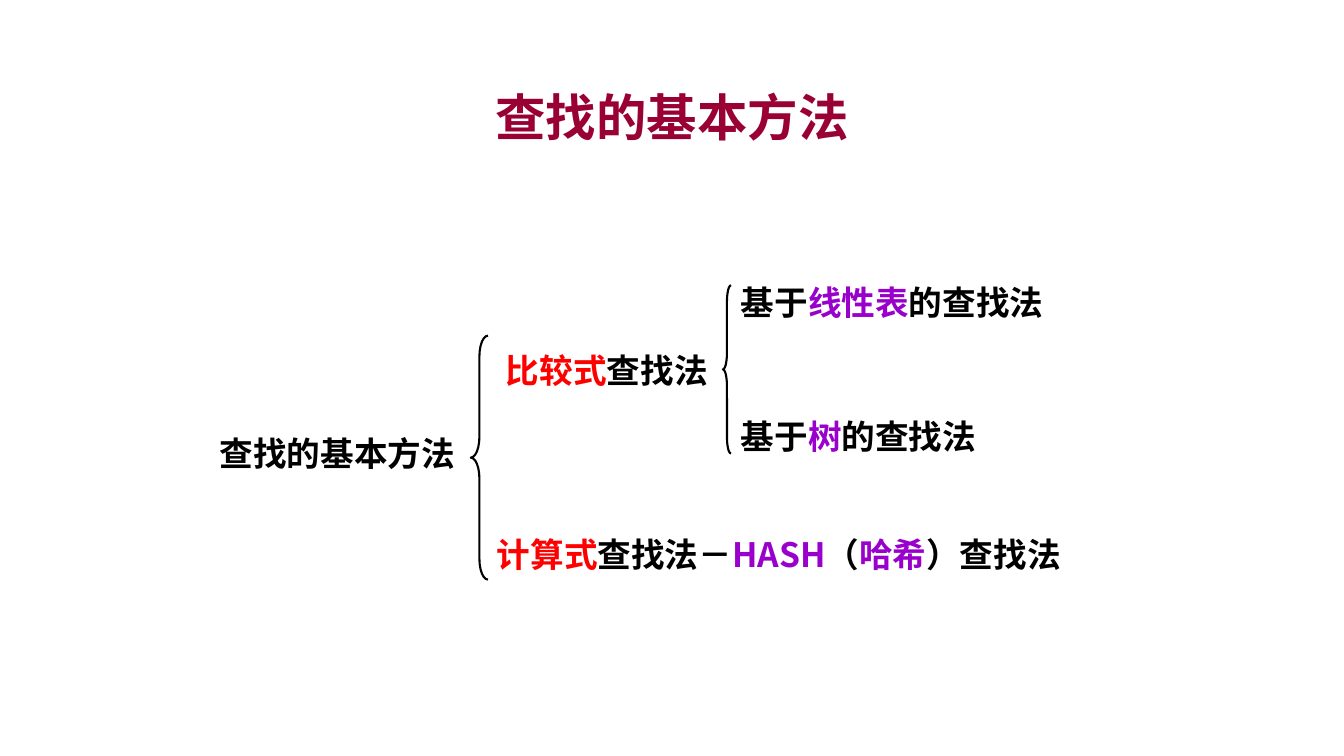
from lxml.etree import SubElement
from pptx import Presentation
from pptx.dml.color import RGBColor as RGB
from pptx.enum.shapes import MSO_SHAPE as Shape
from pptx.enum.text import MSO_ANCHOR as Anchor, MSO_AUTO_SIZE as Fit, PP_ALIGN as Align
from pptx.oxml.ns import qn
from pptx.util import Inches, Pt

THEME = {
    "font": "Noto Sans CJK SC",
    "title": Pt(36), "body": Pt(24), "line": Pt(1.5),
    "wine": RGB(0x99, 0x00, 0x33), "black": RGB(0, 0, 0),
    "red": RGB(0xFF, 0, 0), "purple": RGB(0x99, 0x00, 0xCC),
}


def place(shape, *box):
    sides = ("left", "top", "width", "height")
    for side, value in zip(sides, box):
        setattr(shape, side, Inches(value))


def write(shape, runs, size, format):
    """Fill the shape's text frame with (text, colour name) runs."""
    frame = shape.text_frame
    for key, value in format.items():
        setattr(frame, key, value)
    para = frame.paragraphs[0]
    for text, color in runs:
        run = para.add_run()
        run.text = text
        font = run.font
        font.color.rgb = THEME[color]
        for key, value in {"name": THEME["font"], "size": THEME[size], "bold": True}.items():
            setattr(font, key, value)
        SubElement(font._element, qn("a:ea"), typeface=THEME["font"])
    return para


deck = Presentation()
deck.slide_width, deck.slide_height = Inches(13.33), Inches(7.5)
slide = deck.slides.add_slide(deck.slide_layouts[5])
shapes = slide.shapes

topic = "查找的基本方法"
title = shapes.title
place(title, 1, 0.75, 11.33, 0.75)
para = write(title, [(topic, "wine")], "title", {
    "word_wrap": True, "auto_size": Fit.NONE, "vertical_anchor": Anchor.BOTTOM})
para.alignment = Align.CENTER

labels = [
    ((2.08, 4.24, 2.75, 0.51), [(topic, "black")]),
    ((4.92, 3.42, 2.42, 0.5), [("比较式", "red"), ("查找法", "black")]),
    ((4.83, 5.25, 6, 0.5), [
        ("计算式", "red"), ("查找法－", "black"), ("HASH", "purple"),
        ("（", "black"), ("哈希", "purple"), ("）查找法", "black")]),
    ((7.25, 2.75, 3.5, 0.5), [
        ("基于", "black"), ("线性表", "purple"), ("的查找法", "black")]),
    ((7.25, 4.08, 3.08, 0.5), [
        ("基于", "black"), ("树", "purple"), ("的查找法", "black")]),
]
for box, runs in labels:
    label = shapes.add_textbox(*map(Inches, box))
    write(label, runs, "body", {
        "word_wrap": True, "auto_size": Fit.SHAPE_TO_FIT_TEXT,
        "vertical_anchor": Anchor.MIDDLE})

braces = [((4.67, 3.33, 0.17, 2.42), 1.21), ((7.17, 2.83, 0.08, 1.67), 2)]
for box, curve in braces:
    brace = shapes.add_shape(Shape.LEFT_BRACE, *map(Inches, box))
    brace.adjustments[0] = curve
    brace.adjustments[1] = 0.5
    brace.shadow.inherit = False
    brace.fill.background()
    brace.line.color.rgb = THEME["black"]
    brace.line.width = THEME["line"]

deck.save("out.pptx")
